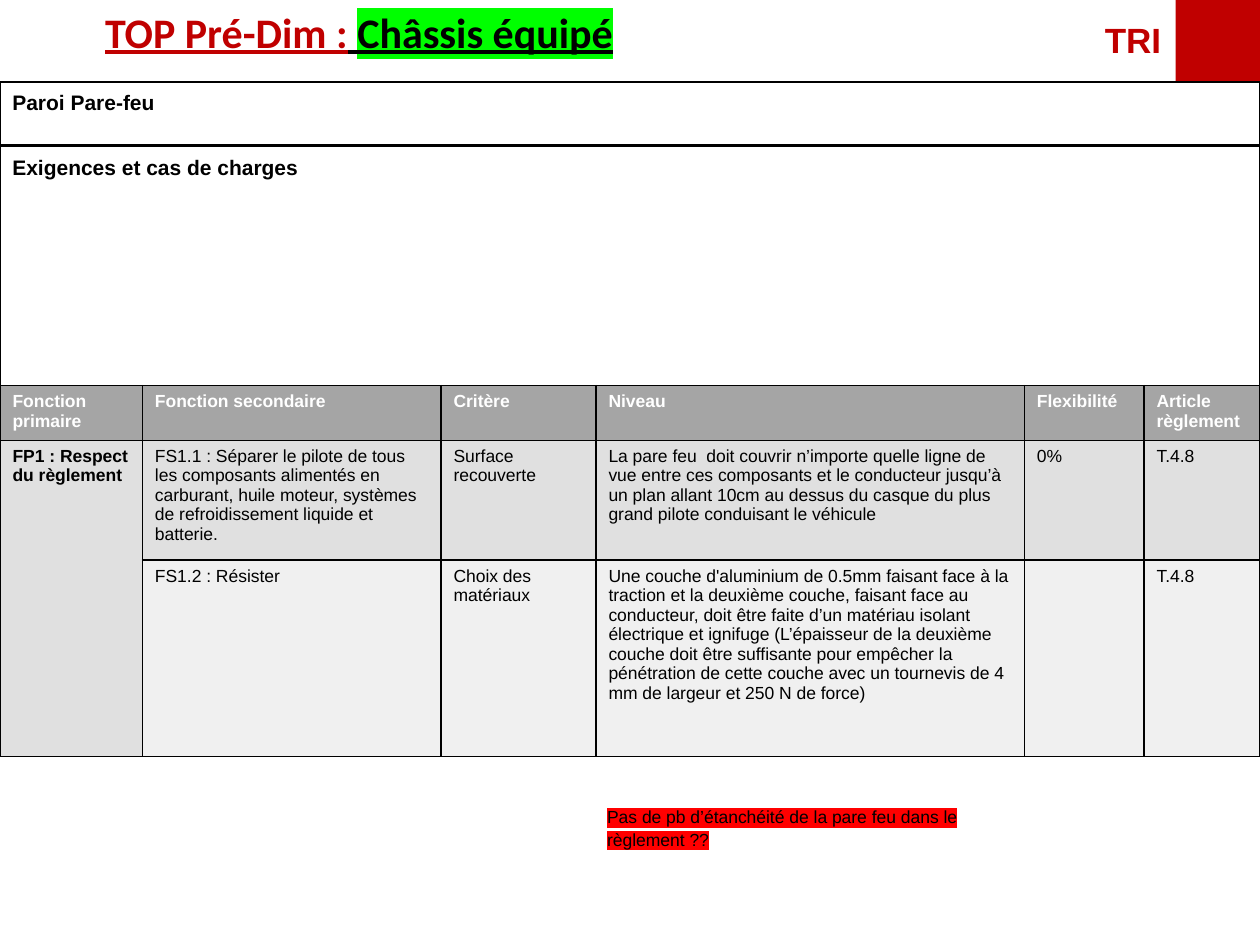
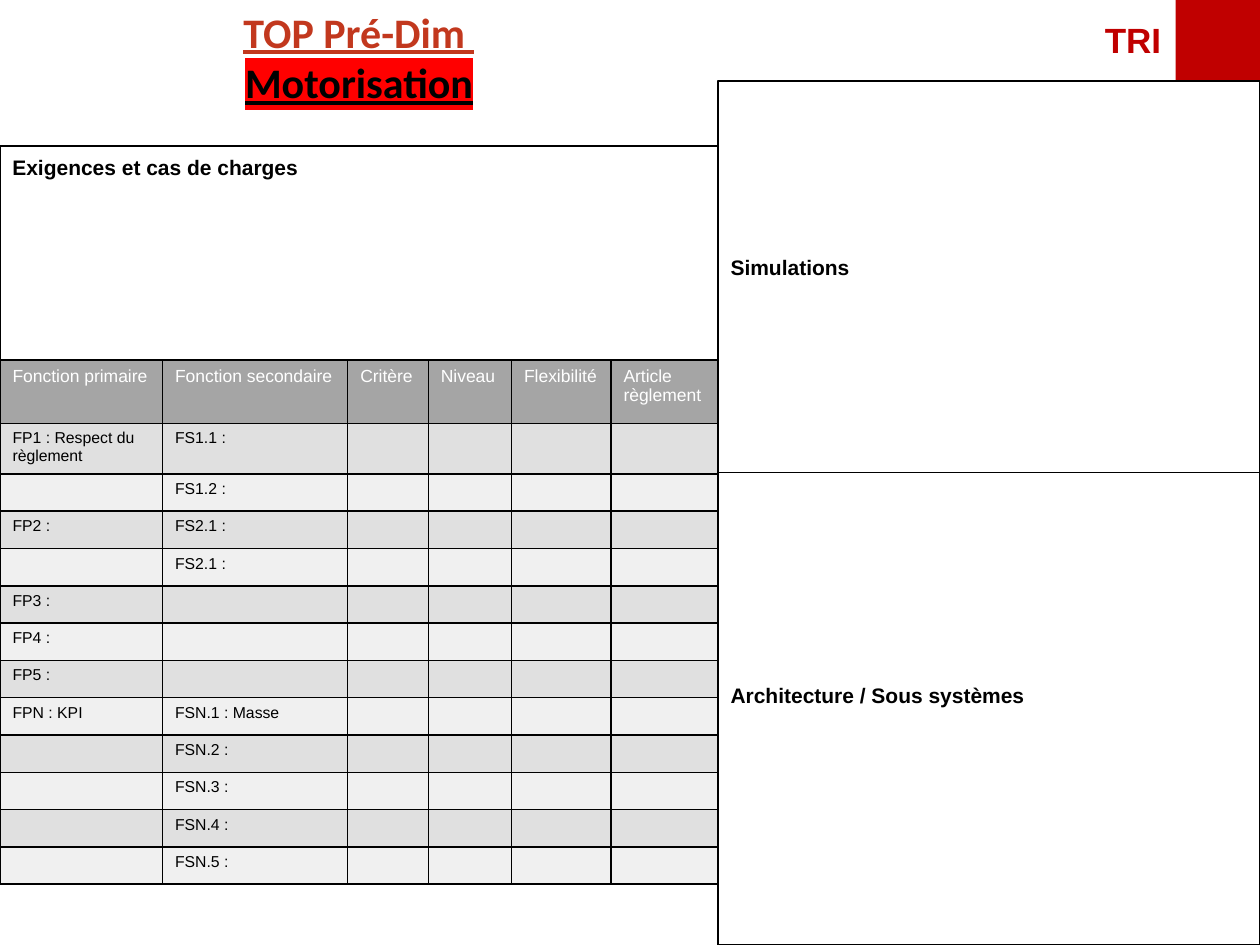
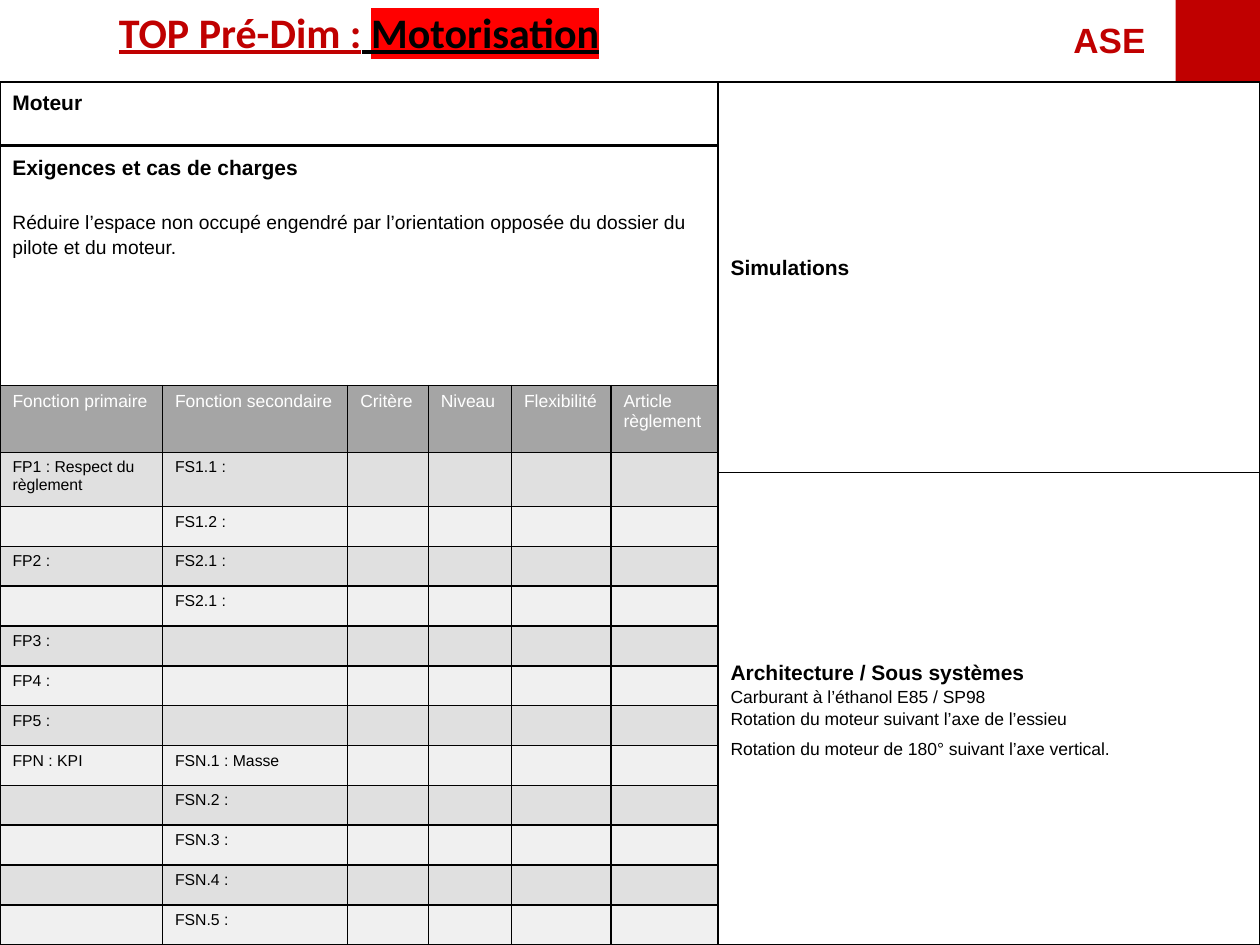
from dataclasses import dataclass

from lxml import etree
from pptx import Presentation
from pptx.dml.color import RGBColor
from pptx.enum.shapes import MSO_SHAPE
from pptx.enum.text import MSO_ANCHOR, PP_ALIGN
from pptx.oxml.ns import qn
from pptx.util import Inches, Pt

RECT = MSO_SHAPE.RECTANGLE
TOP, MIDDLE = MSO_ANCHOR.TOP, MSO_ANCHOR.MIDDLE
LEFT, CENTER = PP_ALIGN.LEFT, PP_ALIGN.CENTER

BLACK = RGBColor(0x00, 0x00, 0x00)
WHITE = RGBColor(0xFF, 0xFF, 0xFF)
CRIMSON = RGBColor(0xC0, 0x00, 0x00)
BRICK = RGBColor(0xC2, 0x38, 0x1E)
RED = RGBColor(0xFF, 0x00, 0x00)
GREEN = RGBColor(0x00, 0xFF, 0x00)
GREY = RGBColor(0xA5, 0xA5, 0xA5)
BANDS = (RGBColor(0xE0, 0xE0, 0xE0), RGBColor(0xF0, 0xF0, 0xF0))

FULL, SPLIT, RIGHT = 10, 5.7, 4.3
HEAD = 0.65
BODY = 1.07

TITLES = ("Fonction primaire", "Fonction secondaire", "Critère", "Niveau",
          "Flexibilité", "Article règlement")
RULES = (
    ("FP1 : Respect du règlement",
     "FS1.1 : Séparer le pilote de tous les composants alimentés en carburant, "
     "huile moteur, systèmes de refroidissement liquide et batterie.",
     "Surface recouverte",
     "La pare feu  doit couvrir n’importe quelle ligne de vue entre ces composants "
     "et le conducteur jusqu’à un plan allant 10cm au dessus du casque du plus "
     "grand pilote conduisant le véhicule",
     "0%", "T.4.8"),
    ("", "FS1.2 : Résister", "Choix des matériaux",
     "Une couche d'aluminium de 0.5mm faisant face à la traction et la deuxième "
     "couche, faisant face au conducteur, doit être faite d’un matériau isolant "
     "électrique et ignifuge (L’épaisseur de la deuxième couche doit être "
     "suffisante pour empêcher la pénétration de cette couche avec un tournevis "
     "de 4 mm de largeur et 250 N de force)",
     "", "T.4.8"),
)
NEEDS = tuple(pair + ("",) * 4 for pair in (
    ("FP1 : Respect du règlement", "FS1.1 :"), ("", "FS1.2 :"),
    ("FP2 :", "FS2.1 :"), ("", "FS2.1 :"),
    ("FP3 :", ""), ("FP4 :", ""), ("FP5 :", ""),
    ("FPN : KPI", "FSN.1 : Masse"), ("", "FSN.2 :"), ("", "FSN.3 :"),
    ("", "FSN.4 :"), ("", "FSN.5 :"),
))
WIDE = (1.13, 2.37, 1.23, 3.4, 0.95, 0.92)
SLIM = (1.29, 1.47, 0.64, 0.66, 0.79, 0.85)


@dataclass(frozen=True)
class Look:
    size: float
    color: RGBColor = BLACK
    bold: bool = False
    face: str = "Arial"
    under: bool = False
    mark: RGBColor | None = None


@dataclass(frozen=True)
class Line:
    spans: tuple[tuple[str, Look], ...]
    gap: float = 0


@dataclass(frozen=True)
class Box:
    left: float
    top: float
    width: float
    height: float
    lines: tuple[Line, ...]
    anchor: MSO_ANCHOR = TOP
    foot: float = 0.05


@dataclass(frozen=True)
class Grid:
    top: float
    cols: tuple[float, ...]
    rows: tuple[float, ...]
    cells: tuple[tuple[str, ...], ...]
    head: Look
    body: Look


STRONG = Look(12, bold=True)
PLAIN = Look(10)


def line(text: str, look: Look, gap: float = 0) -> Line:
    return Line(((text, look),), gap)


def title(color: RGBColor, mark: RGBColor | None = None) -> Look:
    return Look(24, color, True, "Calibri", True, mark)


def style(run, look: Look) -> None:
    font = run.font
    font.size, font.bold, font.name = Pt(look.size), look.bold, look.face
    font.underline = look.under
    font.color.rgb = look.color
    if look.mark is not None:
        mark = etree.Element(qn("a:highlight"))
        etree.SubElement(mark, qn("a:srgbClr"), val=str(look.mark))
        run._r.rPr.find(qn("a:solidFill")).addnext(mark)


def write(frame, lines: tuple[Line, ...], align=LEFT, pitch: float = 1.0) -> None:
    frame.word_wrap = True
    for index, item in enumerate(lines):
        para = frame.add_paragraph() if index else frame.paragraphs[0]
        para.alignment = align
        para.line_spacing = pitch
        if item.gap:
            para.space_before = Pt(item.gap)
        for text, look in item.spans:
            run = para.add_run()
            run.text = text
            style(run, look)


def label(slide, box: Box, align=LEFT, pitch: float = 1.0) -> None:
    shape = slide.shapes.add_textbox(
        Inches(box.left), Inches(box.top), Inches(box.width), Inches(box.height))
    write(shape.text_frame, box.lines, align, pitch)


def panel(slide, box: Box) -> None:
    shape = slide.shapes.add_shape(
        RECT, Inches(box.left), Inches(box.top), Inches(box.width), Inches(box.height))
    shape.shadow.inherit = False
    shape.fill.background()
    shape.line.color.rgb = BLACK
    shape.line.width = Pt(1)
    frame = shape.text_frame
    frame.vertical_anchor = box.anchor
    frame.margin_bottom = Inches(box.foot)
    write(frame, box.lines, pitch=BODY)


def border(cell) -> None:
    props = cell._tc.get_or_add_tcPr()
    for index, side in enumerate(("lnL", "lnR", "lnT", "lnB")):
        edge = etree.Element(qn(f"a:{side}"), w=str(Pt(1)))
        fill = etree.SubElement(edge, qn("a:solidFill"))
        etree.SubElement(fill, qn("a:srgbClr"), val=str(BLACK))
        props.insert(index, edge)


def fill(cell, text: str, look: Look, color: RGBColor) -> None:
    cell.fill.solid()
    cell.fill.fore_color.rgb = color
    border(cell)
    para = cell.text_frame.paragraphs[0]
    if text:
        para.text = text
        style(para.runs[0], look)
    else:
        para._p.get_or_add_endParaRPr().set("sz", str(look.size * 100))


def draw(slide, grid: Grid):
    table = slide.shapes.add_table(
        len(grid.rows), len(grid.cols), Inches(0), Inches(grid.top),
        Inches(sum(grid.cols)), Inches(sum(grid.rows))).table
    for col, width in zip(table.columns, grid.cols):
        col.width = Inches(width)
    for row, height in zip(table.rows, grid.rows):
        row.height = Inches(height)
    for y, texts in enumerate((TITLES,) + grid.cells):
        look = grid.body if y else grid.head
        color = BANDS[(y - 1) % 2] if y else GREY
        for x, text in enumerate(texts):
            fill(table.cell(y, x), text, look, color)
    return table


def needs(slide, top: float, end: float, head: float, first: float) -> None:
    count = len(NEEDS) - 1
    step = (end - top - head - first) / count
    draw(slide, Grid(top, SLIM, (head, first) + (step,) * count, NEEDS,
                     Look(10, WHITE), Look(9)))


def banner(slide, lines: tuple[Line, ...], height: float, code: str, left: float) -> None:
    label(slide, Box(0, 0, SPLIT, height, lines), CENTER)
    label(slide, Box(left, 0.1, 9.33 - left, 0.44,
                     (line(code, Look(20, CRIMSON, True)),)))
    block = slide.shapes.add_shape(
        RECT, Inches(9.33), Inches(0), Inches(0.67), Inches(HEAD))
    block.shadow.inherit = False
    block.fill.solid()
    block.fill.fore_color.rgb = CRIMSON
    block.line.fill.background()


def topic(text: str, mark: RGBColor) -> tuple[Line, ...]:
    return (Line((("TOP Pré-Dim :", title(CRIMSON)), (" ", title(BLACK)),
                  (text, title(BLACK, mark)))),)


def name(slide, text: str, width: float) -> None:
    panel(slide, Box(0, HEAD, width, 0.5, (line(text, STRONG),)))


def loads(slide, width: float, height: float, extra: tuple[Line, ...] = ()) -> None:
    lines = (line("Exigences et cas de charges", STRONG),) + extra
    panel(slide, Box(0, 1.16, width, height, lines))


def studies(slide, top: float, foot: float, extra: tuple[Line, ...] = ()) -> None:
    panel(slide, Box(SPLIT, top, RIGHT, 3.75 - top, (line("Simulations", STRONG),),
                     MIDDLE, 0.22))
    lines = (line("Architecture / Sous systèmes", STRONG),) + extra
    panel(slide, Box(SPLIT, 3.75, RIGHT, 3.75, lines, MIDDLE, foot))


def chassis(slide) -> None:
    banner(slide, topic("Châssis équipé", GREEN), 0.5, "TRI", 8.67)
    name(slide, "Paroi Pare-feu", FULL)
    loads(slide, FULL, 1.9)
    table = draw(slide, Grid(3.06, WIDE, (0.41, 0.95, 1.56), RULES,
                             Look(10, WHITE, True), PLAIN))
    first = table.cell(1, 0)
    first.merge(table.cell(2, 0))
    first.text_frame.paragraphs[0].runs[0].font.bold = True
    note = line("Pas de pb d’étanchéité de la pare feu dans le règlement ??",
                Look(10, mark=RED))
    label(slide, Box(4.72, 6.34, 3.41, 0.44, (note,)), pitch=BODY)


def engine(slide) -> None:
    lines = (line("TOP Pré-Dim ", title(BRICK)),
             line("Motorisation", title(BLACK, RED)))
    banner(slide, lines, 0.83, "TRI", 8.67)
    needs(slide, 2.86, 7, 0.5, 0.38)
    loads(slide, SPLIT, 1.7)
    studies(slide, 0.64, 0.28)


def motor(slide) -> None:
    banner(slide, topic("Motorisation", RED), 0.5, "ASE", 8.42)
    name(slide, "Moteur", SPLIT)
    loads(slide, SPLIT, 1.9, (
        line("Réduire l’espace non occupé engendré par l’orientation opposée du "
             "dossier du pilote et du moteur.", Look(11), 17),))
    studies(slide, HEAD, 0.06, (
        line("Carburant à l’éthanol E85 / SP98", PLAIN),
        line("Rotation du moteur suivant l’axe de l’essieu", PLAIN),
        line("Rotation du moteur de 180° suivant l’axe vertical.", PLAIN, 4)))
    needs(slide, 3.06, 7.5, 0.53, 0.43)


def main() -> None:
    deck = Presentation()
    deck.slide_width, deck.slide_height = Inches(10), Inches(7.5)
    for build in (chassis, engine, motor):
        build(deck.slides.add_slide(deck.slide_layouts[6]))
    deck.save("out.pptx")


if __name__ == "__main__":
    main()
